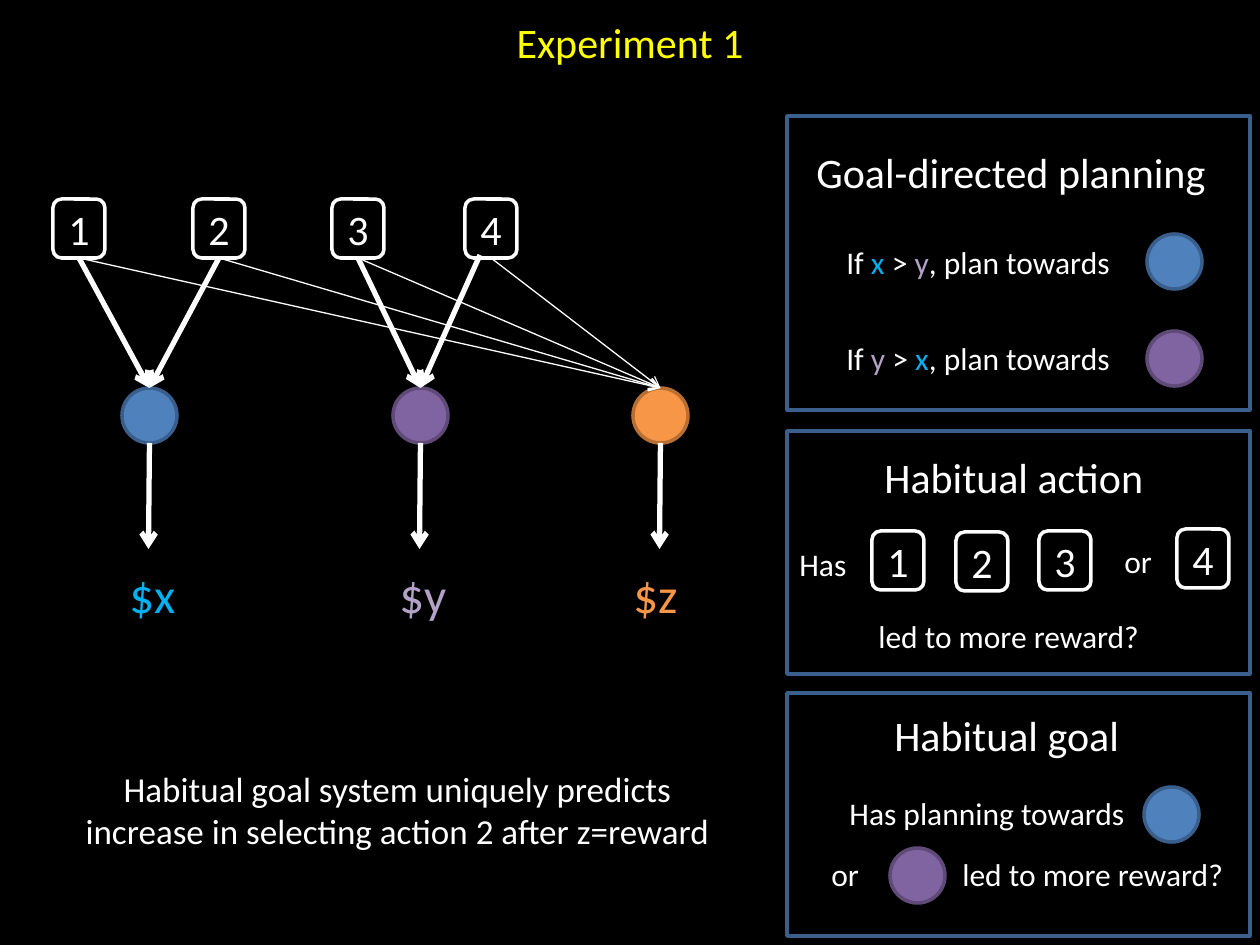
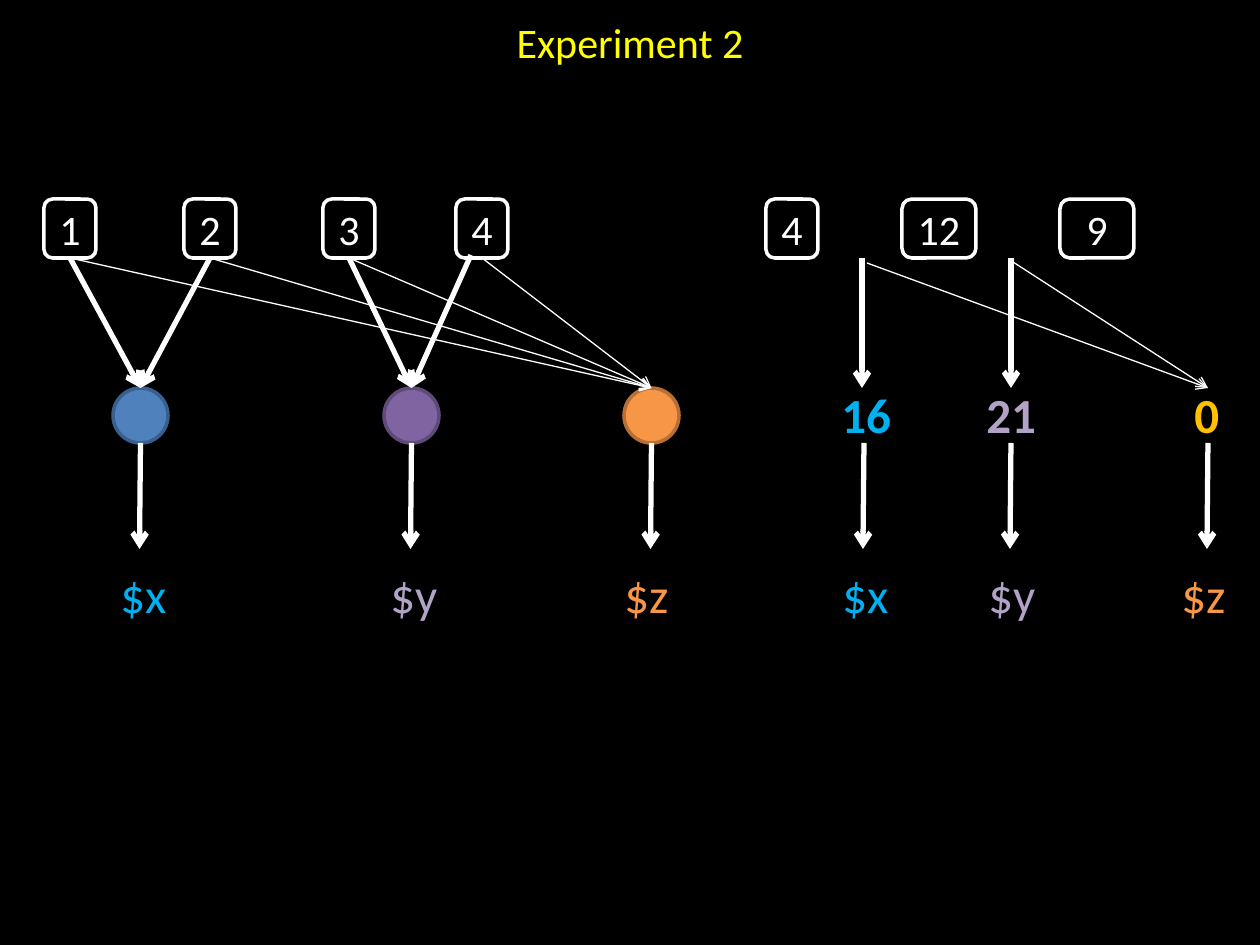
"""Build two slides on goal-directed and habitual choice in Experiments 1 and 2."""
from lxml import etree
from pptx import Presentation
from pptx.dml.color import RGBColor
from pptx.enum.shapes import MSO_CONNECTOR, MSO_SHAPE
from pptx.enum.text import MSO_ANCHOR, PP_ALIGN
from pptx.oxml.ns import qn
from pptx.util import Pt

PX = 914400 / 126
FONT = "Calibri"
BLACK, WHITE, YELLOW, GOLD = "000000", "FFFFFF", "FFFF00", "FFC000"
BLUE, DARK_BLUE, SKY = "4F81BD", "3A5F8C", "00B0F0"
PURPLE, DARK_PURPLE, LILAC = "8064A2", "5F4A78", "B3A2C7"
ORANGE, DARK_ORANGE = "F79646", "B76F34"
THICK, THIN = 3, 0.75
CIRCLE = 55
BUTTON_TOP, BUTTON_WIDTH, BUTTON_HEIGHT = 199, 52, 59
BUTTON_BOTTOM = BUTTON_TOP + BUTTON_HEIGHT
GOAL_TOP, GOAL_BOTTOM, REWARD_ARROW_END, REWARD_TOP = 388, 443, 549, 558


def draw(shapes, kind, box, runs=(), size=18, fill=None, line=None, align=None, bold=False, wrap=True):
    """Place a title, text box or preset shape and write its (text, colour) runs."""
    left, top, width, height = [round(value * PX) for value in box]
    if kind == "title":
        shape = shapes.title
        shape.left, shape.top, shape.width, shape.height = left, top, width, height
        shape.text_frame.vertical_anchor = MSO_ANCHOR.TOP
    elif kind == "text":
        shape = shapes.add_textbox(left, top, width, height)
    else:
        shape = shapes.add_shape(kind, left, top, width, height)
        shape.shadow.inherit = False
        if fill:
            shape.fill.solid()
            shape.fill.fore_color.rgb = RGBColor.from_string(fill)
        else:
            shape.fill.background()
        shape.line.color.rgb = RGBColor.from_string(line)
        shape.line.width = Pt(2)
        shape.text_frame.vertical_anchor = MSO_ANCHOR.MIDDLE
    shape.text_frame.word_wrap = wrap
    paragraph = shape.text_frame.paragraphs[0]
    paragraph.alignment = align
    for text, colour in runs:
        run = paragraph.add_run()
        run.text = text
        run.font.name = FONT
        run.font.size = Pt(size)
        run.font.bold = bold
        run.font.color.rgb = RGBColor.from_string(colour)
    return shape


def add_arrow(shapes, start, end, weight):
    """Draw a white straight arrow between two points."""
    points = [round(value * PX) for value in (*start, *end)]
    connector = shapes.add_connector(MSO_CONNECTOR.STRAIGHT, *points)
    connector.line.color.rgb = RGBColor.from_string(WHITE)
    connector.line.width = Pt(weight)
    etree.SubElement(connector.line._get_or_add_ln(), qn("a:tailEnd"), type="arrow")
    etree.SubElement(connector._element.spPr, qn("a:effectLst"))
    return connector


presentation = Presentation()
presentation.slide_width = round(1260 * PX)
presentation.slide_height = round(945 * PX)
background = presentation.slide_master.background.fill
background.solid()
background.fore_color.rgb = RGBColor.from_string(BLACK)

goals = [
    (122, BLUE, DARK_BLUE, "$x", SKY, 117),
    (393, PURPLE, DARK_PURPLE, "$y", LILAC, 387),
    (633, ORANGE, DARK_ORANGE, "$z", ORANGE, 621),
]
actions = [("1", 53, 0), ("2", 193, 0), ("3", 332, 1), ("4", 465, 1)]

slides = []
for title, shift in [("Experiment 1", 0), ("Experiment 2", -9)]:
    slide = presentation.slides.add_slide(presentation.slide_layouts[5])
    slides.append(slide)
    shapes = slide.shapes
    draw(shapes, "title", (0, 10, 1260, 63), [(title, YELLOW)], 24, align=PP_ALIGN.CENTER)

    goal_centres = []
    for left, fill, edge, reward, colour, reward_left in goals:
        centre = left + shift + CIRCLE / 2
        goal_centres.append(centre)
        draw(shapes, MSO_SHAPE.OVAL, (left + shift, GOAL_TOP, CIRCLE, CIRCLE), fill=fill, line=edge)
        add_arrow(shapes, (centre, GOAL_BOTTOM), (centre - 1, REWARD_ARROW_END), THICK)
        draw(shapes, "text", (reward_left + shift, REWARD_TOP, 72, 72), [(reward, colour)], 28, wrap=False)

    for action, left, goal in actions:
        button = draw(shapes, MSO_SHAPE.ROUNDED_RECTANGLE,
                      (left + shift, BUTTON_TOP, BUTTON_WIDTH, BUTTON_HEIGHT),
                      [(action, WHITE)], 24, line=WHITE, align=PP_ALIGN.CENTER)
        centre = left + shift + BUTTON_WIDTH / 2
        for target, weight in [(goal, THICK), (2, THIN)]:
            offset = -11 if action == "4" and weight == THICK else 0
            arrow = add_arrow(shapes, (centre + offset, BUTTON_BOTTOM + offset // 5),
                              (goal_centres[target], GOAL_TOP), weight)
            if not offset:
                arrow.begin_connect(button, 2)

first, second = slides
draw(first.shapes, "text", (59, 761, 677, 97),
     [("Habitual goal system uniquely predicts increase in selecting action 2 after z=reward", WHITE)],
     20, align=PP_ALIGN.CENTER)

x, y = ("x", SKY), ("y", LILAC)
panels = [
    ((787, 116, 463, 294), ("Goal-directed planning", 804, 140, 430),
     [([("If ", WHITE), ("x ", SKY), ("> ", WHITE), y, (", plan towards", WHITE)], 834, 237, 290),
      ([("If ", WHITE), ("y ", LILAC), ("> ", WHITE), x, (", plan towards", WHITE)], 834, 333, 292)],
     [(BLUE, DARK_BLUE, 1147, 234), (PURPLE, DARK_PURPLE, 1147, 331)], []),
    ((787, 431, 463, 243), ("Habitual action", 872, 445, 299),
     [([("Has", WHITE)], 787, 539, 81), ([("or", WHITE)], 1112, 536, 53),
      ([("led to more reward?", WHITE)], 866, 611, 290)],
     [], [("1", 872, 531), ("2", 956, 532), ("3", 1039, 531), ("4", 1177, 529)]),
    ((787, 693, 463, 243), ("Habitual goal", 882, 703, 252),
     [([("Has planning towards", WHITE)], 837, 788, 319), ([("or", WHITE)], 819, 849, 53),
      ([("led to more reward?", WHITE)], 950, 849, 290)],
     [(BLUE, DARK_BLUE, 1144, 787), (PURPLE, DARK_PURPLE, 890, 848)], []),
]
for frame, (heading, left, top, width), lines, circles, buttons in panels:
    panel = first.shapes.add_group_shape().shapes
    draw(panel, MSO_SHAPE.RECTANGLE, frame, line=DARK_BLUE)
    draw(panel, "text", (left, top, width, 63), [(heading, WHITE)], 24, wrap=False)
    for runs, left, top, width in lines:
        draw(panel, "text", (left, top, width, 50), runs, wrap=False)
    for fill, edge, left, top in circles:
        draw(panel, MSO_SHAPE.OVAL, (left, top, CIRCLE, CIRCLE), fill=fill, line=edge)
    for action, left, top in buttons:
        draw(panel, MSO_SHAPE.ROUNDED_RECTANGLE, (left, top, BUTTON_WIDTH, BUTTON_HEIGHT),
             [(action, WHITE)], 24, line=WHITE, align=PP_ALIGN.CENTER)

for number, left, width in [("4", 766, 52), ("12", 902, 74), ("9", 1060, 74)]:
    draw(second.shapes, MSO_SHAPE.ROUNDED_RECTANGLE, (left, BUTTON_TOP, width, BUTTON_HEIGHT),
         [(number, WHITE)], 24, line=WHITE, align=PP_ALIGN.CENTER)

outcomes = [
    ("16", SKY, 829, 76, "$x", SKY, 830, 864),
    ("21", LILAC, 974, 76, "$y", LILAC, 976, 1011),
    ("0", GOLD, 1182, 50, "$z", ORANGE, 1169, 1208),
]
for value, colour, left, width, reward, reward_colour, reward_left, centre in outcomes:
    draw(second.shapes, "text", (left, GOAL_TOP - 10, width, 72), [(value, colour)], 28, bold=True, wrap=False)
    add_arrow(second.shapes, (centre, GOAL_BOTTOM), (centre - 1, REWARD_ARROW_END), THICK)
    draw(second.shapes, "text", (reward_left, REWARD_TOP, 72, 72), [(reward, reward_colour)], 28, wrap=False)

for centre, thin_start in [(862, (867, 263)), (1011, (1013, 262))]:
    add_arrow(second.shapes, (centre, BUTTON_BOTTOM), (centre, GOAL_TOP), THICK)
    add_arrow(second.shapes, thin_start, (1208, GOAL_TOP), THIN)

presentation.save("out.pptx")
